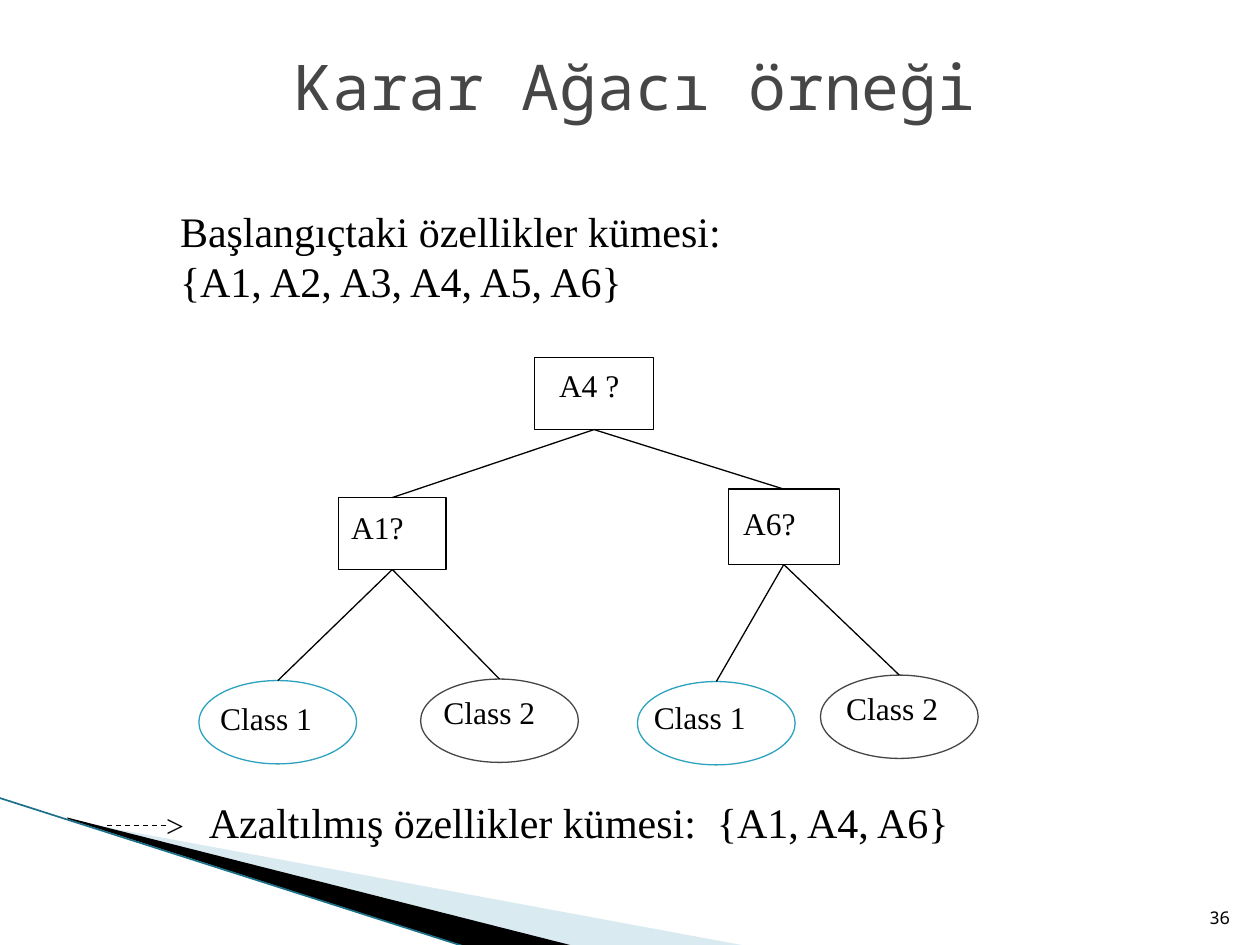
from pptx import Presentation
from pptx.dml.color import RGBColor
from pptx.enum.dml import MSO_LINE
from pptx.enum.shapes import MSO_CONNECTOR, MSO_SHAPE
from pptx.enum.text import MSO_ANCHOR, MSO_AUTO_SIZE, PP_ALIGN
from pptx.oxml.ns import qn
from pptx.util import Cm, Pt

BLACK = RGBColor(0x00, 0x00, 0x00)
GREY = RGBColor(0x46, 0x46, 0x46)
TEAL = RGBColor(0x2D, 0xA2, 0xBF)
DEEP = RGBColor(0x1A, 0x70, 0x88)
PALE = RGBColor(0xA0, 0xCB, 0xDC)

RECT, OVAL = MSO_SHAPE.RECTANGLE, MSO_SHAPE.OVAL
LINE = MSO_CONNECTOR.STRAIGHT
DASH = MSO_LINE.DASH
GROW, FIXED = MSO_AUTO_SIZE.SHAPE_TO_FIT_TEXT, MSO_AUTO_SIZE.NONE
HIGH, LOW = MSO_ANCHOR.TOP, MSO_ANCHOR.BOTTOM
LEFT, MID, RIGHT = PP_ALIGN.LEFT, PP_ALIGN.CENTER, PP_ALIGN.RIGHT
SERIF, MONO = "Times New Roman", "Noto Sans Mono"
TOP, BASE = 0, 2

RECTS = [
    ("A4 ?", 6.77, 0.01, 2.41, 1.45, 0.25, 0.05, 2.46, True),
    ("A1?", 2.83, 2.83, 2.16, 1.45, 0, 0.08, 1.93, False),
    ("A6?", 10.68, 2.66, 2.24, 1.52, 0.05, 0.17, 1.93, False),
]
OVALS = [
    ("Class 1", 0.01, 6.52, 0.18, 0.25, TEAL),
    ("Class 2", 4.48, 6.49, 0.21, 0.15, GREY),
    ("Class 1", 8.85, 6.54, 0.08, 0.2, TEAL),
    ("Class 2", 12.54, 6.41, 0.27, 0.16, GREY),
]


def apply(item, form):
    for name, value in form.items():
        setattr(item, name, value)


def add_text(shapes, box, lines, size, face=SERIF, color=BLACK,
             align=LEFT, wrap=False, fit=GROW, anchor=HIGH):
    shape = shapes.add_textbox(*map(Cm, box))
    frame = shape.text_frame
    frame.text = "\n".join(lines)
    apply(frame, {"word_wrap": wrap, "auto_size": fit, "vertical_anchor": anchor})
    for para in frame.paragraphs:
        para.alignment = align
        for run in para.runs:
            apply(run.font, {"size": Pt(size), "name": face})
            run.font.color.rgb = color


def add_line(shapes, start, end, color=BLACK, width=0.75):
    line = shapes.add_connector(LINE, *map(Cm, (*start, *end)))
    line.line.color.rgb = color
    line.line.width = Pt(width)
    props = line._element.spPr
    props.append(props.makeelement(qn("a:effectLst"), {}))
    return line


def add_node(shapes, kind, box, color):
    node = shapes.add_shape(kind, *map(Cm, box))
    node.shadow.inherit = False
    node.fill.background()
    node.line.color.rgb = color
    node.line.width = Pt(0.75)
    return node


def add_wedge(shapes, points, color, alpha=None):
    first, *rest = [(Cm(x), Cm(y)) for x, y in points]
    build = shapes.build_freeform(*first)
    build.add_line_segments(rest, close=True)
    wedge = build.convert_to_shape()
    wedge.shadow.inherit = False
    wedge.fill.solid()
    wedge.fill.fore_color.rgb = color
    wedge.line.fill.background()
    if alpha:
        tint = wedge._element.spPr.find(".//" + qn("a:srgbClr"))
        tint.append(tint.makeelement(qn("a:alpha"), {"val": str(alpha * 1000)}))


def add_decor(shapes, left, top):
    def place(points):
        return [(left + x, top + y) for x, y in points]

    add_wedge(shapes, place([(1.4, 0.46), (15.11, 3), (11.58, 3), (1.4, 0.43)]), PALE, 40)
    add_wedge(shapes, place([(1.35, 0.4), (11.61, 3), (9.45, 3.02), (1.37, 0.43)]), BLACK)
    add_line(shapes, *place([(-0.03, 0), (9.42, 3.02)]), DEEP, 0.95)


def add_tree(shapes, left, top):
    rects, ovals = [], []
    for label, x, y, wide, high, dx, dy, span, wrap in RECTS:
        x, y = left + x, top + y
        rects.append(add_node(shapes, RECT, (x, y, wide, high), BLACK))
        add_text(shapes, (x + dx, y + dy, span, 1.27), [label], 18, wrap=wrap)
    for label, x, y, dx, dy, color in OVALS:
        x, y = left + x, top + y
        ovals.append(add_node(shapes, OVAL, (x, y, 3.18, 1.68), color))
        add_text(shapes, (x + dx, y + dy, 2.97, 1.27), [label], 18)
    root, *forks = rects
    pairs = [(root, fork) for fork in forks]
    pairs += [(forks[i // 2], oval) for i, oval in enumerate(ovals)]
    for upper, lower in pairs:
        edge = add_line(shapes, (left, top), (left, top))
        edge.begin_connect(upper, BASE)
        edge.end_connect(lower, TOP)


def add_result(shapes, left, top):
    arrow = shapes.add_group_shape().shapes
    stem = add_line(arrow, (left, top + 0.71), (left + 1.22, top + 0.71))
    stem.line.dash_style = DASH
    add_text(arrow, (left + 0.94, top + 0.2, 0.86, 1.02), [">"], 18)
    add_text(shapes, (left + 1.8, top, 15.57, 1.27),
             ["Azaltılmış özellikler kümesi:  {A1, A4, A6}"], 24)


def main():
    deck = Presentation()
    apply(deck, {"slide_width": Cm(25.4), "slide_height": Cm(19.05)})
    shapes = deck.slides.add_slide(deck.slide_layouts[6]).shapes
    add_decor(shapes, 0, 16.08)
    add_text(shapes, (24.03, 17.81, 1.02, 1.02), ["36"], 10, MONO,
             align=RIGHT, wrap=True, fit=FIXED, anchor=LOW)
    add_text(shapes, (2.11, 0.84, 21.39, 1.78), ["Karar Ağacı örneği"], 36,
             MONO, GREY, MID, True)
    add_text(shapes, (3.38, 4.01, 11.51, 2.31),
             ["Başlangıçtaki özellikler kümesi:", "{A1, A2, A3, A4, A5, A6}"], 24)
    add_tree(shapes, 4, 7.2)
    add_result(shapes, 2.16, 15.93)
    deck.save("out.pptx")


if __name__ == "__main__":
    main()
